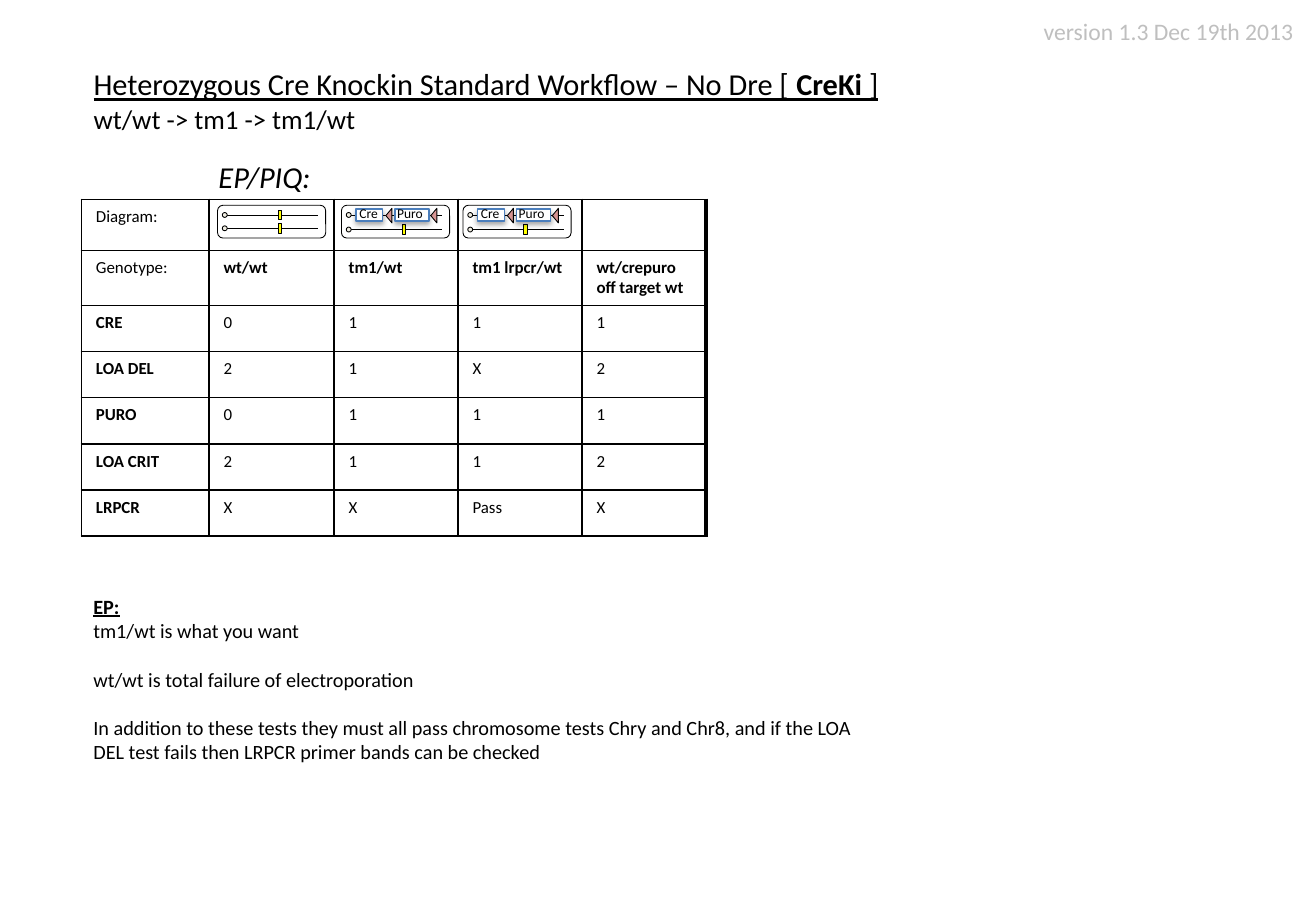
import pptx
import pptx.util
import pptx.dml.color
import pptx.enum.shapes
import pptx.enum.text
import pptx.oxml
import pptx.oxml.ns

Inches, Pt = pptx.util.Inches, pptx.util.Pt
RGB = pptx.dml.color.RGBColor
Kind = pptx.enum.shapes.MSO_SHAPE
Text = pptx.enum.text
BLACK, WHITE = RGB(0, 0, 0), RGB(255, 255, 255)
GREY, CREAM = RGB(0xBF, 0xBF, 0xBF), RGB(0xEE, 0xEC, 0xE1)
YELLOW, PINK, BLUE = RGB(255, 255, 0), RGB(0xD9, 0x96, 0x94), RGB(0x4B, 0x7E, 0xBC)
NS = pptx.oxml.ns.nsdecls("a")
SHADOW = (f'<a:effectLst {NS}><a:outerShdw blurRad="39370" dist="22860" dir="5400000" '
          'rotWithShape="0"><a:srgbClr val="000000"><a:alpha val="35000"/></a:srgbClr>'
          '</a:outerShdw></a:effectLst>')


def write(frame, paras, size, ink=BLACK, wrap=True):
    """Fill a text frame; each paragraph is (space before, [(text, format)])."""
    frame.word_wrap = wrap
    for i, (gap, runs) in enumerate(paras):
        para = frame.paragraphs[0] if i == 0 else frame.add_paragraph()
        para.alignment = Text.PP_ALIGN.LEFT
        para.space_before = Pt(gap)
        for words, style in runs:
            run = para.add_run()
            run.text = words
            look = {"name": "Calibri", "size": Pt(size), **style}
            for key, value in look.items():
                setattr(run.font, key, value)
            run.font.color.rgb = ink


def draw(group, kind, box, fill=None, line=BLACK, width=0.5):
    """Add a flat preset shape to a group."""
    shape = group.shapes.add_shape(kind, *map(Inches, box))
    shape.shadow.inherit = False
    if fill is None:
        shape.fill.background()
    else:
        shape.fill.solid()
        shape.fill.fore_color.rgb = fill
    shape.line.color.rgb = line
    shape.line.width = Pt(width)
    return shape


deck = pptx.Presentation()
deck.slide_width, deck.slide_height = Inches(10.83), Inches(7.5)
slide = deck.slides.add_slide(deck.slide_layouts[5])

# Title
title = slide.shapes.title
place = {"left": 0.67, "top": 0.49, "width": 6.77, "height": 0.67}
for key, value in place.items():
    setattr(title, key, Inches(value))
title.text_frame.vertical_anchor = Text.MSO_ANCHOR.TOP
title.text_frame.auto_size = Text.MSO_AUTO_SIZE.NONE
under = {"underline": True}
write(title.text_frame, [
    (0, [("Heterozygous Cre Knockin Standard Workflow – No Dre [ ", under),
         ("CreKi", {"bold": True, **under}), (" ]", under)]),
    (0, [("wt/wt -> tm1 -> tm1/wt", {"size": Pt(16)})]),
], 18, wrap=False)

# Notes on the tests, table heading and version
notes = [
    (0, [("EP:", {"bold": True, **under})]),
    (0, [("tm1/wt is what you want", {})]),
    (14.4, [("wt/wt is total failure of electroporation", {})]),
    (14.4, [("In addition to these tests they must all pass chromosome tests Chry and Chr8, "
             "and if the LOA DEL test fails then LRPCR primer bands can be checked", {})]),
]
head = [(0, [("EP/PIQ:", {"italic": True})])]
stamp = [(0, [("version 1.3 Dec 19th 2013", {})])]
for box, paras, size, ink, wrap in [
    ((0.67, 4.84, 6.63, 1.51), notes, 12, BLACK, True),
    ((1.7, 1.25, 1.04, 0.4), head, 18, BLACK, False),
    ((8.49, 0.09, 2.35, 0.34), stamp, 14, GREY, True),
]:
    write(slide.shapes.add_textbox(*map(Inches, box)).text_frame, paras, size, ink, wrap)

# Genotype table
rows = [
    ["Diagram:", "", "", "", ""],
    ["Genotype:", "wt/wt", "tm1/wt", "tm1 lrpcr/wt", "wt/crepuro off target wt"],
    ["CRE", "0", "1", "1", "1"],
    ["LOA DEL", "2", "1", "X", "2"],
    ["PURO", "0", "1", "1", "1"],
    ["LOA CRIT", "2", "1", "1", "2"],
    ["LRPCR", "X", "X", "Pass", "X"],
]
grid = slide.shapes.add_table(
    len(rows), 5, *map(Inches, (0.67, 1.64, 5.13, 2.67))).table
grid.first_row = grid.horz_banding = False
for col, width in zip(grid.columns, (1.05, 1.03, 1.02, 1.02, 1.02)):
    col.width = Inches(width)
pad = {"margin_left": 0.12, "margin_right": 0.12, "margin_top": 0.06, "margin_bottom": 0.06}
for r, row in enumerate(rows):
    grid.rows[r].height = Inches(0.38)
    for c, words in enumerate(row):
        cell = grid.cell(r, c)
        for key, value in pad.items():
            setattr(cell, key, Inches(value))
        bold = r == 1 if c else r > 1
        write(cell.text_frame, [(0, [(words, {"bold": bold})])], 10)
        props = cell._tc.get_or_add_tcPr()
        for side in "LRTB":
            width = Pt(2.25 if side == "R" and c == 4 else 1)
            props.append(pptx.oxml.parse_xml(
                f'<a:ln{side} {NS} w="{width}"><a:solidFill><a:srgbClr val="{BLACK}"/>'
                f'</a:solidFill></a:ln{side}>'))
        cell.fill.background()

# Allele diagrams: left edge, heights of the two strands, whether tm1 is present
for left, strands, tagged in [
    (1.79, (1.77, 1.88), False),
    (2.81, (1.77, 1.89), True),
    (3.81, (1.77, 1.89), True),
]:
    group = slide.shapes.add_group_shape()
    draw(group, Kind.ROUNDED_RECTANGLE, (left, 1.69, 0.89, 0.27))
    for i, y in enumerate(strands):
        strand = group.shapes.add_connector(
            pptx.enum.shapes.MSO_CONNECTOR.STRAIGHT,
            *map(Inches, (left + 0.08, y, left + 0.83, y)))
        strand.line.color.rgb = BLACK
        strand.line.width = Pt(0.5)
        strand._element.spPr.append(pptx.oxml.parse_xml(f"<a:effectLst {NS}/>"))
        draw(group, Kind.OVAL, (left + 0.04, y - 0.02, 0.04, 0.04), CREAM)
        if i or not tagged:
            draw(group, Kind.RECTANGLE, (left + 0.5, y - 0.04, 0.03, 0.08), YELLOW)
    if not tagged:
        continue

    # Cassettes, each followed by an arrowhead site
    for words, shift, wide, site, inset, span in [
        ("Cre", 0.12, 0.22, 0.33, 0.05, 0.4),
        ("Puro", 0.44, 0.28, 0.7, 0.36, 0.52),
    ]:
        mark = draw(group, Kind.ISOSCELES_TRIANGLE, (left + site, 1.75, 0.12, 0.05), PINK)
        mark.rotation = 270
        tag = draw(group, Kind.RECTANGLE, (left + shift, 1.72, wide, 0.1), WHITE, BLUE, 0.75)
        props = tag._element.spPr
        props.remove(props.find(pptx.oxml.ns.qn("a:effectLst")))
        props.append(pptx.oxml.parse_xml(SHADOW))
        label = group.shapes.add_textbox(*map(Inches, (left + inset, 1.64, span, 0.24)))
        write(label.text_frame, [(0, [(words, {})])], 8)

deck.save("out.pptx")
